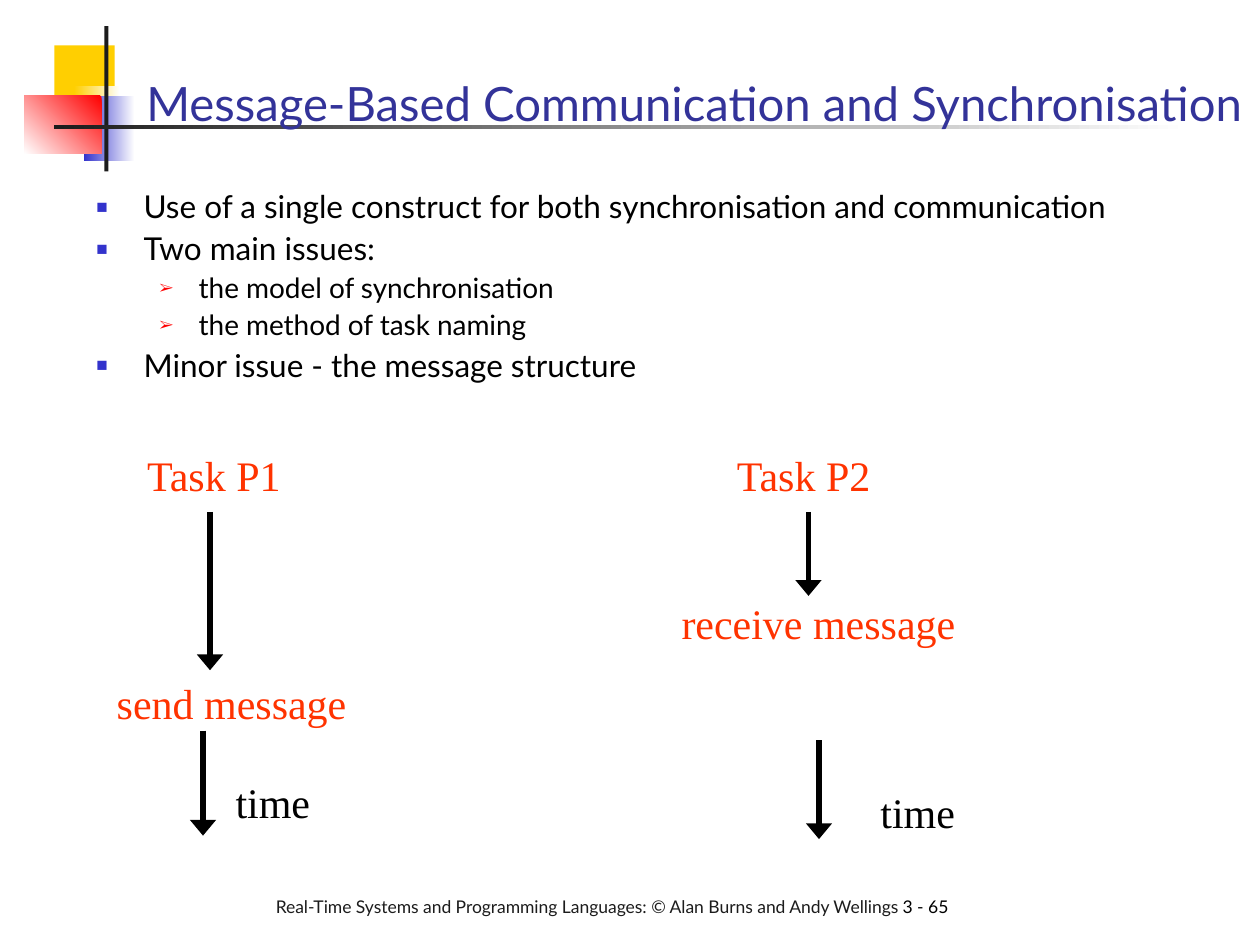
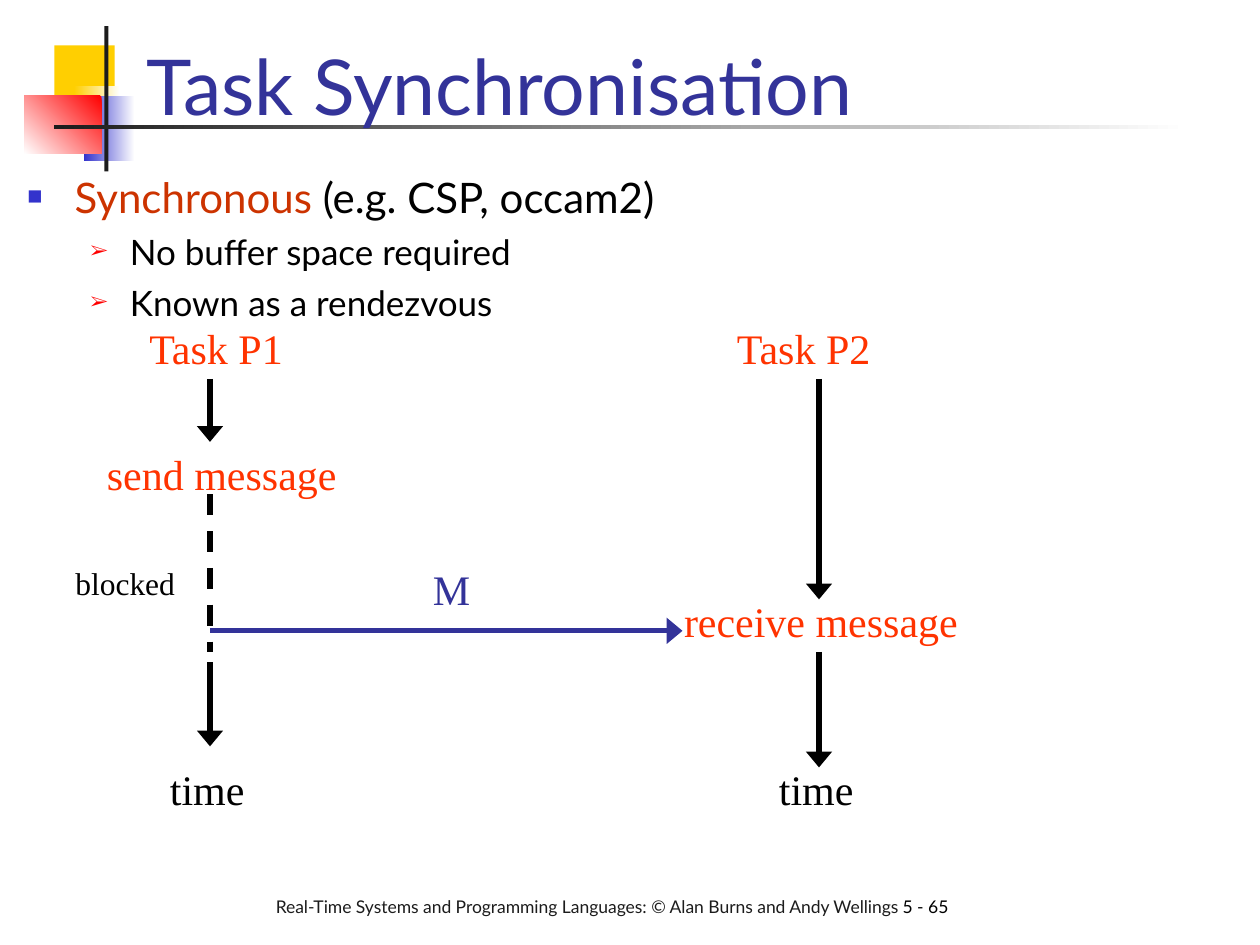
from dataclasses import dataclass

from lxml.etree import SubElement
from pptx import Presentation
from pptx.dml.color import RGBColor
from pptx.enum.dml import MSO_LINE
from pptx.enum.shapes import MSO_CONNECTOR, MSO_SHAPE
from pptx.enum.text import MSO_ANCHOR
from pptx.oxml.ns import qn
from pptx.util import Pt


@dataclass(frozen=True)
class Theme:
    white: str = "FFFFFF"
    black: str = "000000"
    charcoal: str = "1C1C1C"
    yellow: str = "FFCF01"
    blue: str = "3333CC"
    navy: str = "333399"
    red: str = "FF0000"
    brick: str = "CC3300"
    orange: str = "FF3300"
    sans: str = "Lato"
    serif: str = "Times New Roman"
    title_size: int = 44
    long_title_size: int = 27
    label_size: int = 24
    note_size: int = 18
    footer_size: int = 10
    line_width: int = 3


@dataclass(frozen=True)
class Bullet:
    symbol: str
    color: str
    percent: int
    margin: float
    hanging: float


THEME = Theme()
BULLETS = (
    Bullet("■", THEME.blue, 60, 27, 27),
    Bullet("➢", THEME.red, 55, 58.5, 22.5),
)
FOOTER = "Real-Time Systems and Programming Languages: © Alan Burns and Andy Wellings "
LABEL_WIDTHS = {
    "Task P1": 95,
    "Task P2": 95,
    "send message": 149,
    "receive message": 174,
    "time": 60,
    "blocked": 75,
    "M": 38,
}


class Deck:
    def __init__(self, theme):
        self.theme = theme
        self.presentation = Presentation()
        self.presentation.slide_width = Pt(720)
        self.presentation.slide_height = Pt(540)
        self.slide = None

    def start_slide(self, title, title_size, title_width, page):
        theme = self.theme
        self.slide = self.presentation.slides.add_slide(self.presentation.slide_layouts[6])
        self.band(31, 26, 34.5, 37.5, theme.yellow)
        self.band(42.5, 49, 26, 37.5, theme.white, theme.yellow)
        self.band(48, 54.7, 29, 37.5, theme.white, theme.blue)
        self.band(14, 54.7, 44, 33.3, theme.red, theme.white, 225)
        self.band(59.6, 15, 2.4, 83, theme.charcoal)
        self.band(31, 71.4, 648, 2.5, theme.white, theme.charcoal)
        footer = self.text_frame(150.5, 508.3, 436, 33)
        self.run(footer.paragraphs[0], FOOTER, theme.footer_size, theme.charcoal)
        self.run(footer.paragraphs[0], page, theme.footer_size, theme.black)
        heading = self.text_frame(76.5, 9.4, title_width, 69)
        heading.vertical_anchor = MSO_ANCHOR.BOTTOM
        self.run(heading.paragraphs[0], title, title_size, theme.navy)

    def band(self, left, top, width, height, color, end_color=None, angle=180):
        shape = self.slide.shapes.add_shape(
            MSO_SHAPE.RECTANGLE, Pt(left), Pt(top), Pt(width), Pt(height)
        )
        shape.shadow.inherit = False
        shape.line.fill.background()
        if end_color is None:
            shape.fill.solid()
            shape.fill.fore_color.rgb = RGBColor.from_string(color)
            return
        shape.fill.gradient()
        shape.fill.gradient_angle = angle
        for stop, stop_color in zip(shape.fill.gradient_stops, (color, end_color)):
            stop.color.rgb = RGBColor.from_string(stop_color)

    def text_frame(self, left, top, width, height, wrap=True):
        shape = self.slide.shapes.add_textbox(Pt(left), Pt(top), Pt(width), Pt(height))
        shape.text_frame.word_wrap = wrap
        return shape.text_frame

    def run(self, paragraph, text, size, color, font=None):
        run = paragraph.add_run()
        run.text = text
        run.font.name = font or self.theme.sans
        run.font.size = Pt(size)
        run.font.color.rgb = RGBColor.from_string(color)

    def bullet(self, paragraph, level):
        bullet = BULLETS[level]
        paragraph.level = level
        properties = paragraph._p.get_or_add_pPr()
        properties.set("marL", str(Pt(bullet.margin)))
        properties.set("indent", str(-Pt(bullet.hanging)))
        color = SubElement(properties, qn("a:buClr"))
        SubElement(color, qn("a:srgbClr"), val=bullet.color)
        SubElement(properties, qn("a:buSzPct"), val=str(bullet.percent * 1000))
        SubElement(properties, qn("a:buFont"), typeface=self.theme.serif)
        SubElement(properties, qn("a:buChar"), char=bullet.symbol)

    def bullet_list(self, left, top, width, height, items, sizes, line_spacing=1.0):
        frame = self.text_frame(left, top, width, height)
        for index, (level, runs) in enumerate(items):
            paragraph = frame.add_paragraph() if index else frame.paragraphs[0]
            self.bullet(paragraph, level)
            paragraph.line_spacing = line_spacing
            if index:
                paragraph.space_before = Pt(sizes[level] / 4)
            for text, color in runs:
                self.run(paragraph, text, sizes[level], color)

    def label(self, text, left, top, color, size=None):
        size = size or self.theme.label_size
        frame = self.text_frame(left, top, LABEL_WIDTHS[text], size * 1.2 + 7.2, wrap=False)
        self.run(frame.paragraphs[0], text, size, color, self.theme.serif)

    def line(self, start, end, color=None, arrow=True, dashed=False):
        connector = self.slide.shapes.add_connector(
            MSO_CONNECTOR.STRAIGHT, *(Pt(value) for value in (*start, *end))
        )
        connector.line.width = Pt(self.theme.line_width)
        connector.line.color.rgb = RGBColor.from_string(color or self.theme.black)
        if dashed:
            connector.line.dash_style = MSO_LINE.DASH
        if arrow:
            outline = connector.line._get_or_add_ln()
            SubElement(outline, qn("a:tailEnd"), type="triangle", w="lg", len="med")
        SubElement(connector._element.spPr, qn("a:effectLst"))

    def time_arrow(self, x, top, bottom):
        self.line((x, top), (x, bottom))


def add_communication_slide(deck):
    theme = deck.theme
    deck.start_slide(
        "Message-Based Communication and Synchronisation", theme.long_title_size, 663, "3 - 65"
    )
    issues = (
        (0, "Use of a single construct for both synchronisation and communication"),
        (0, "Two main issues:"),
        (1, "the model of synchronisation"),
        (1, "the method of task naming"),
        (0, "Minor issue - the message structure"),
    )
    items = [(level, [(text, theme.black)]) for level, text in issues]
    deck.bullet_list(48, 106, 642, 146, items, (18, 16), 0.9)
    for text, left, top in (
        ("Task P1", 77, 253.4),
        ("Task P2", 414, 253.4),
        ("send message", 59.6, 383.4),
        ("receive message", 382.4, 338),
    ):
        deck.label(text, left, top, theme.orange)
    for x, top, bottom in (
        (120, 292.5, 383),
        (116, 417.5, 477.5),
        (462, 292.5, 340.5),
        (468, 423, 479.5),
    ):
        deck.time_arrow(x, top, bottom)
    deck.label("time", 127.5, 440, theme.black)
    deck.label("time", 496, 445.7, theme.black)


def add_synchronisation_slide(deck):
    theme = deck.theme
    deck.start_slide("Task Synchronisation", theme.title_size, 613, "5 - 65")
    items = (
        (0, [("Synchronous", theme.brick), (" (e.g. CSP, occam2)", theme.black)]),
        (1, [("No buffer space required", theme.black)]),
        (1, [("Known as a rendezvous", theme.black)]),
    )
    deck.bullet_list(8.6, 94.3, 685, 102, items, (24, 20))
    for text, left, top in (
        ("Task P1", 78.2, 180.5),
        ("Task P2", 414, 180.5),
        ("send message", 54, 252.7),
        ("receive message", 383.8, 336.5),
    ):
        deck.label(text, left, top, theme.orange)
    sender, receiver = 120, 468
    for x, top, bottom in (
        (sender, 216.5, 252.5),
        (sender, 378.5, 426.5),
        (receiver, 216.5, 342.5),
        (receiver, 372.5, 438.5),
    ):
        deck.time_arrow(x, top, bottom)
    for x in (sender, receiver):
        deck.label("time", x - 30, 432.7, theme.black)
    deck.line((sender, 282.5), (sender, 372.5), arrow=False, dashed=True)
    deck.label("blocked", 36, 318.5, theme.black, theme.note_size)
    deck.line((sender, 360.5), (390, 360.5), theme.navy)
    deck.label("M", 240.2, 318.5, theme.navy)


def main():
    deck = Deck(THEME)
    add_communication_slide(deck)
    add_synchronisation_slide(deck)
    deck.presentation.save("out.pptx")


if __name__ == "__main__":
    main()
